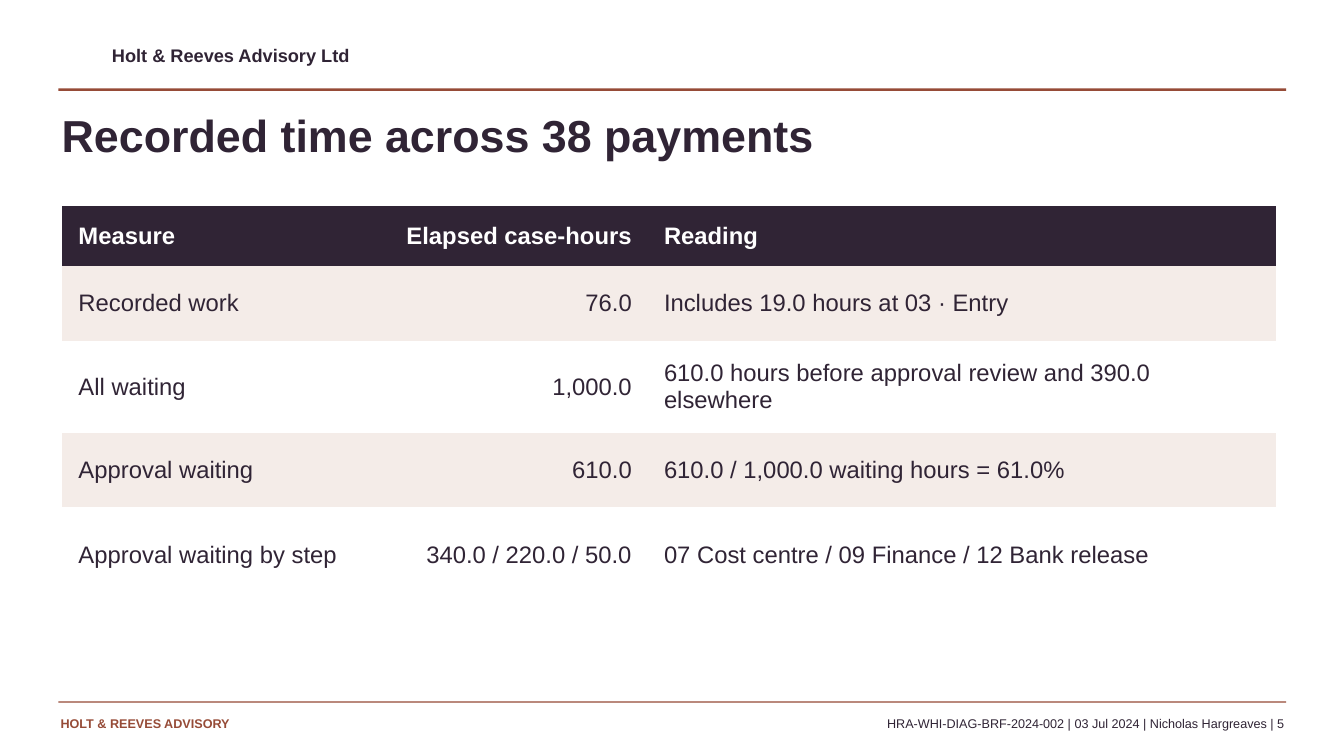
from pptx import Presentation
from pptx.dml.color import RGBColor
from pptx.enum import shapes, text
from pptx.oxml import ns
from pptx.util import Pt

COLORS = {"rust": "964B37", "plum": "302435", "blush": "F4ECE8", "white": "FFFFFF"}
FONT = "Arial"
PLAIN_TABLE_STYLE = "{2D5ABB26-0587-4C30-8999-92F81FD0307C}"
LEFT, RIGHT = text.PP_ALIGN.LEFT, text.PP_ALIGN.RIGHT
HEADINGS = ["Measure", "Elapsed case-hours", "Reading"]
MEASURES = [
    ["Recorded work", "76.0", "Includes 19.0 hours at 03 · Entry"],
    ["All waiting", "1,000.0", "610.0 hours before approval review and 390.0 elsewhere"],
    ["Approval waiting", "610.0", "610.0 / 1,000.0 waiting hours = 61.0%"],
    ["Approval waiting by step", "340.0 / 220.0 / 50.0",
     "07 Cost centre / 09 Finance / 12 Bank release"],
]
COLUMN_WIDTHS = [226, 192.25, 448.5]
ROW_HEIGHTS = [43, 53.5, 65.5, 53.5, 68.5]


def color(name):
    return RGBColor.from_string(COLORS[name])


def write(frame, words, size, ink, bold=False, align=LEFT):
    para = frame.paragraphs[0]
    para.alignment = align
    span = para.add_run()
    span.text = words
    span.font.name = FONT
    span.font.size = Pt(size)
    span.font.bold = bold
    span.font.color.rgb = color(ink)


def prepare_frame(frame):
    frame.margin_left = frame.margin_right = frame.margin_top = frame.margin_bottom = 0
    frame.word_wrap = True
    frame.auto_size = text.MSO_AUTO_SIZE.NONE
    frame.vertical_anchor = text.MSO_ANCHOR.TOP


def add_label(page, left, top, width, height, words, size, ink, bold=False, align=LEFT):
    label = page.shapes.add_textbox(Pt(left), Pt(top), Pt(width), Pt(height))
    prepare_frame(label.text_frame)
    write(label.text_frame, words, size, ink, bold, align)


def add_rule(page, left, top, width, height):
    rule = page.shapes.add_shape(shapes.MSO_SHAPE.RECTANGLE,
                                 Pt(left), Pt(top), Pt(width), Pt(height))
    rule.shadow.inherit = False
    rule.fill.solid()
    rule.fill.fore_color.rgb = color("rust")
    rule.line.fill.background()


def add_header(page, left, top, width):
    add_label(page, left + 38.25, top, 432, 19.5,
              "Holt & Reeves Advisory Ltd", 13, "plum", bold=True)
    add_rule(page, left, top + 31.75, width, 1.75)


def add_title(page, left, top, width, height):
    title = page.shapes.title
    title.left, title.top, title.width, title.height = map(Pt, (left, top, width, height))
    prepare_frame(title.text_frame)
    write(title.text_frame, "Recorded time across 38 payments", 32, "plum", bold=True)


def add_measures(page, left, top):
    rows = [HEADINGS] + MEASURES
    holder = page.shapes.add_table(len(rows), len(HEADINGS), Pt(left), Pt(top),
                                   Pt(sum(COLUMN_WIDTHS)), Pt(sum(ROW_HEIGHTS)))
    for style in holder.element.iter(ns.qn("a:tableStyleId")):
        style.text = PLAIN_TABLE_STYLE
    table = holder.table
    for column, width in zip(table.columns, COLUMN_WIDTHS):
        column.width = Pt(width)
    for index, (row, height) in enumerate(zip(table.rows, ROW_HEIGHTS)):
        row.height = Pt(height)
        heading = index == 0
        fill = "plum" if heading else "blush" if index % 2 else "white"
        for position, cell in enumerate(row.cells):
            cell.fill.solid()
            cell.fill.fore_color.rgb = color(fill)
            cell.vertical_anchor = text.MSO_ANCHOR.MIDDLE
            cell.margin_left = cell.margin_right = Pt(11.5)
            cell.margin_top = cell.margin_bottom = Pt(3.6)
            write(cell.text_frame, rows[index][position], 17,
                  "white" if heading else "plum", heading,
                  RIGHT if position == 1 else LEFT)


def add_footer(page, left, top, width):
    add_rule(page, left, top, width, 1)
    add_label(page, left + 1.5, top + 10.25, 245, 18,
              "HOLT & REEVES ADVISORY", 9, "rust", bold=True)
    add_label(page, left + 255, top + 10.25, width - 256.5, 18,
              "HRA-WHI-DIAG-BRF-2024-002 | 03 Jul 2024 | Nicholas Hargreaves | 5",
              9, "plum", align=RIGHT)


def main():
    deck = Presentation()
    deck.slide_width, deck.slide_height = Pt(960), Pt(540)
    page = deck.slides.add_slide(deck.slide_layouts[5])
    page.background.fill.solid()
    page.background.fill.fore_color.rgb = color("white")
    add_header(page, 41.75, 31.5, 877)
    add_title(page, 44, 77, 864, 56)
    add_measures(page, 44.6, 147)
    add_footer(page, 41.75, 501, 877)
    deck.save("out.pptx")


if __name__ == "__main__":
    main()
